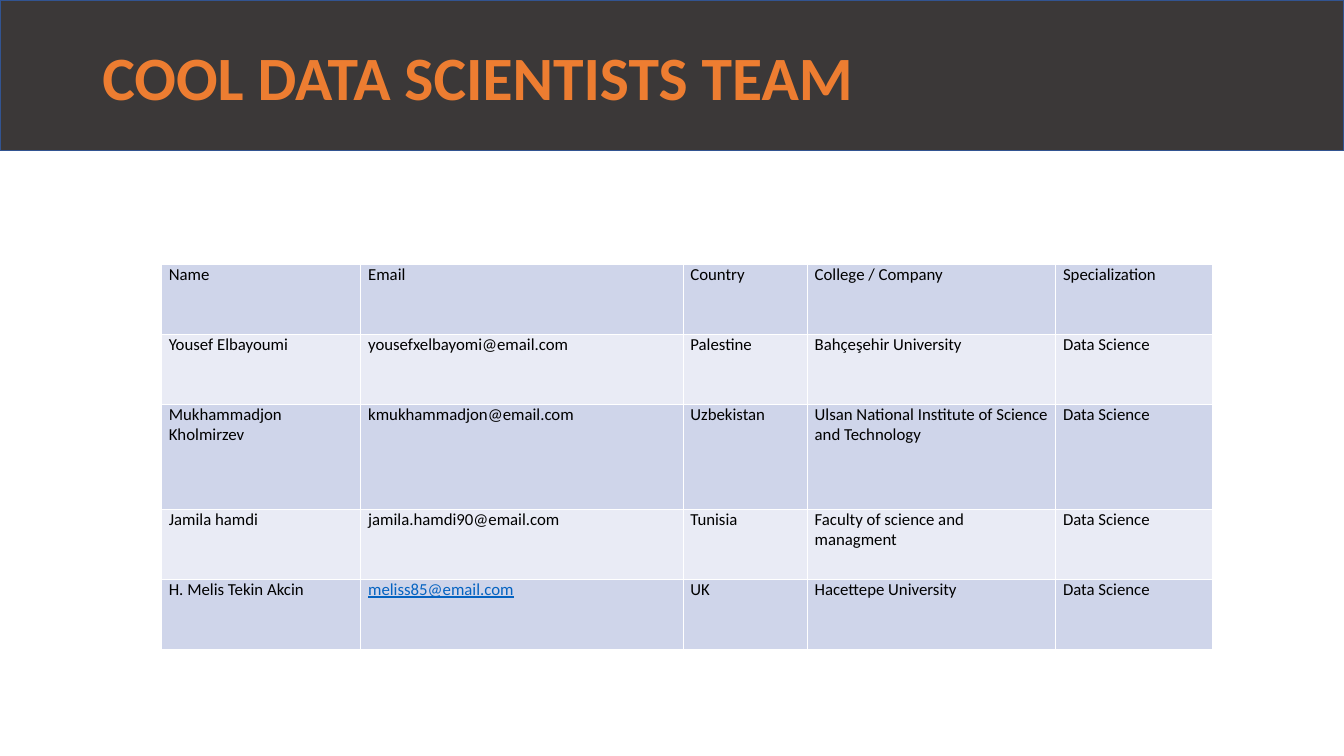
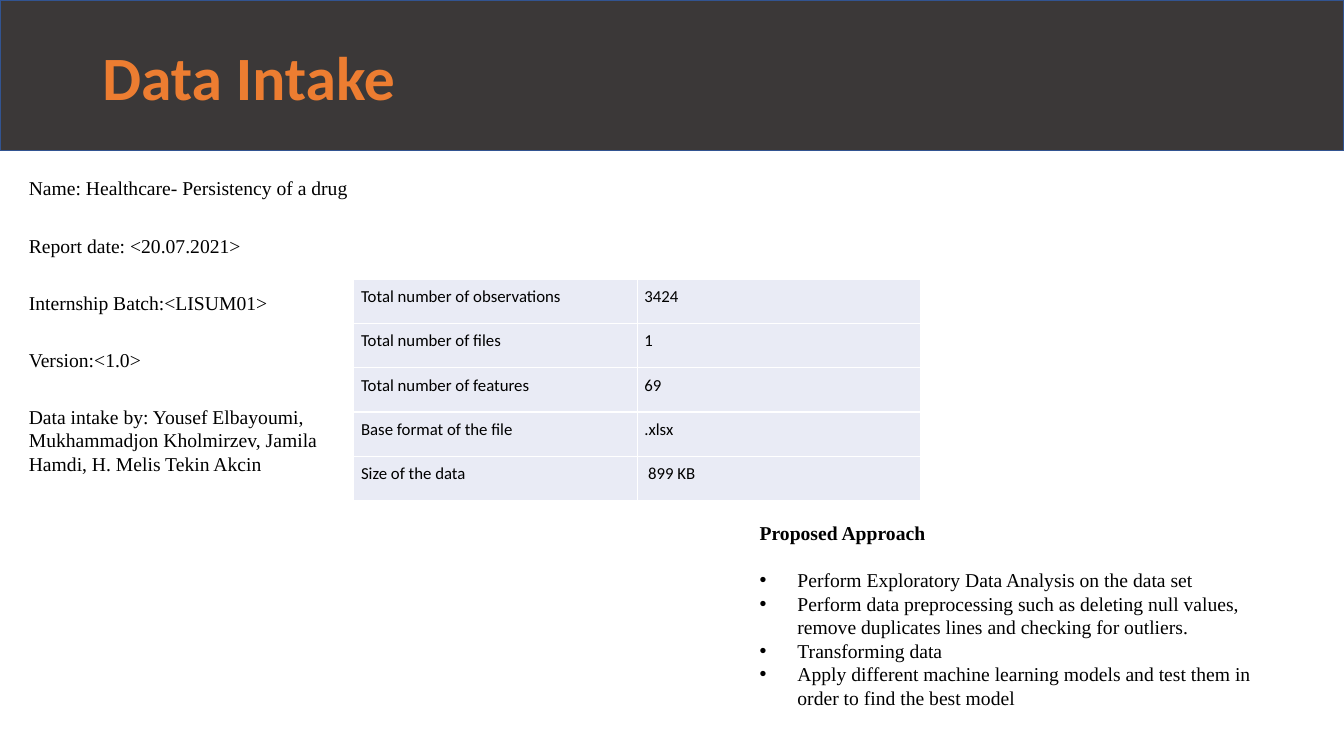
from lxml import etree
from pptx import Presentation
from pptx.dml.color import RGBColor
from pptx.enum.shapes import MSO_SHAPE
from pptx.enum.text import MSO_ANCHOR
from pptx.oxml.ns import qn
from pptx.util import Pt

RECT = MSO_SHAPE.RECTANGLE
TOP, MIDDLE = MSO_ANCHOR.TOP, MSO_ANCHOR.MIDDLE
SANS, SERIF = "Calibri", "Times New Roman"
DARK, ORANGE, BAND_LINE = "3B3838", "ED7D31", "325491"
BLACK, WHITE, LINK = "000000", "FFFFFF", "0563C1"
ROW_DARK, ROW_LIGHT = "CFD5EA", "E9EBF5"
rgb = RGBColor.from_string


def style(p, size, name, color=BLACK, bold=False):
    for r in p.runs:
        r.font.size = Pt(size)
        r.font.name = name
        r.font.bold = bold
        r.font.color.rgb = rgb(color)


def add_grid(s, left, top, widths, heights, rows, fills, inset):
    """Add a table with white borders whose row fills alternate."""
    tbl = s.shapes.add_table(len(rows), len(widths), Pt(left), Pt(top),
                             Pt(sum(widths)), Pt(sum(heights))).table
    tbl.first_row = tbl.horz_banding = False
    for col, width in zip(tbl.columns, widths):
        col.width = Pt(width)
    for i, (height, texts) in enumerate(zip(heights, rows)):
        tbl.rows[i].height = Pt(height)
        for j, text in enumerate(texts):
            cell = tbl.cell(i, j)
            cell.margin_left = cell.margin_right = Pt(5.2)
            cell.margin_top = cell.margin_bottom = Pt(inset)
            cell.vertical_anchor = TOP
            cell.fill.solid()
            cell.fill.fore_color.rgb = rgb(fills[i % len(fills)])
            cell.text_frame.text = text
            style(cell.text_frame.paragraphs[0], 12, SANS)
            # Borders come before the fill in the cell properties
            for k, side in enumerate(("lnL", "lnR", "lnT", "lnB")):
                ln = etree.Element(qn("a:" + side), w=str(Pt(1)))
                fill = etree.SubElement(ln, qn("a:solidFill"))
                etree.SubElement(fill, qn("a:srgbClr"), val=WHITE)
                cell._tc.tcPr.insert(k, ln)
    return tbl


prs = Presentation()
prs.slide_width, prs.slide_height = Pt(960), Pt(540)

# Shared band and title
slides = []
for title in ("COOL DATA SCIENTISTS TEAM", "Data Intake"):
    s = prs.slides.add_slide(prs.slide_layouts[6])
    sp = s.shapes.add_shape(RECT, 0, 0, prs.slide_width, Pt(107.5))
    sp.shadow.inherit = False
    sp.fill.solid()
    sp.fill.fore_color.rgb = rgb(DARK)
    sp.line.color.rgb = rgb(BAND_LINE)
    sp.line.width = Pt(1)
    tf = s.shapes.add_textbox(Pt(66), Pt(5), Pt(828), Pt(104.4)).text_frame
    tf.word_wrap = True
    tf.vertical_anchor = MIDDLE
    tf.text = title
    p = tf.paragraphs[0]
    p.line_spacing = 0.9
    style(p, 44, SANS, ORANGE, True)
    slides.append(s)
team, intake = slides

# Team table
members = [
    ("Name", "Email", "Country", "College / Company", "Specialization"),
    ("Yousef Elbayoumi", "yousefxelbayomi@email.com", "Palestine",
     "Bahçeşehir University", "Data Science"),
    ("Mukhammadjon Kholmirzev", "kmukhammadjon@email.com", "Uzbekistan",
     "Ulsan National Institute of Science and Technology", "Data Science"),
    ("Jamila hamdi", "jamila.hamdi90@email.com", "Tunisia",
     "Faculty of science and managment", "Data Science"),
    ("H. Melis Tekin Akcin", "meliss85@email.com", "UK",
     "Hacettepe University", "Data Science"),
]
tbl = add_grid(team, 115.4, 189, (142.4, 230.2, 88.8, 177.4, 112),
               (50, 50, 75, 50, 50), members, (ROW_DARK, ROW_LIGHT), 0)
font = tbl.cell(4, 1).text_frame.paragraphs[0].runs[0].font
font.color.rgb = rgb(LINK)
font.underline = True

# Intake details
details = [
    "Name: Healthcare- Persistency of a drug",
    "Report date: <20.07.2021>",
    "Internship Batch:<LISUM01>",
    "Version:<1.0>",
    "Data intake by: Yousef Elbayoumi, Mukhammadjon Kholmirzev, "
    "Jamila Hamdi, H. Melis Tekin Akcin",
]
tf = intake.shapes.add_textbox(Pt(13.5), Pt(122.4), Pt(252.7), Pt(223)).text_frame
tf.word_wrap = True
tf.text = "\n".join(details)
for p in tf.paragraphs:
    p.space_before = p.space_after = Pt(12)
    p.line_spacing = Pt(16.8)
    style(p, 14, SERIF)

# Data set facts
facts = [
    ("Total number of observations", "3424"),
    ("Total number of files", "1"),
    ("Total number of features", "69"),
    ("Base format of the file", ".xlsx"),
    ("Size of the data", " 899 KB"),
]
add_grid(intake, 252.7, 199.6, (202.4, 202.4), [31.6] * 5, facts,
         (ROW_LIGHT,), 5.2)

# Proposed approach
approach = [
    "Proposed Approach",
    "Perform Exploratory Data Analysis on the data set",
    "Perform data preprocessing such as deleting null values, "
    "remove duplicates lines and checking for outliers.",
    "Transforming data",
    "Apply different machine learning models and test them in "
    "order to find the best model",
]
tf = intake.shapes.add_textbox(Pt(535.5), Pt(368.6), Pt(397.4), Pt(143.3)).text_frame
tf.word_wrap = True
tf.text = "\n".join(approach)
for i, p in enumerate(tf.paragraphs):
    p.line_spacing = Pt(16.8)
    style(p, 14, SERIF, bold=i == 0)
    if i == 0:
        p.space_after = Pt(16.8)
        continue
    pPr = p._p.get_or_add_pPr()
    pPr.set("marL", str(Pt(27)))
    pPr.set("indent", str(-Pt(27)))
    etree.SubElement(pPr, qn("a:buFont"), typeface="Arial")
    etree.SubElement(pPr, qn("a:buChar"), char="•")

prs.save("out.pptx")
